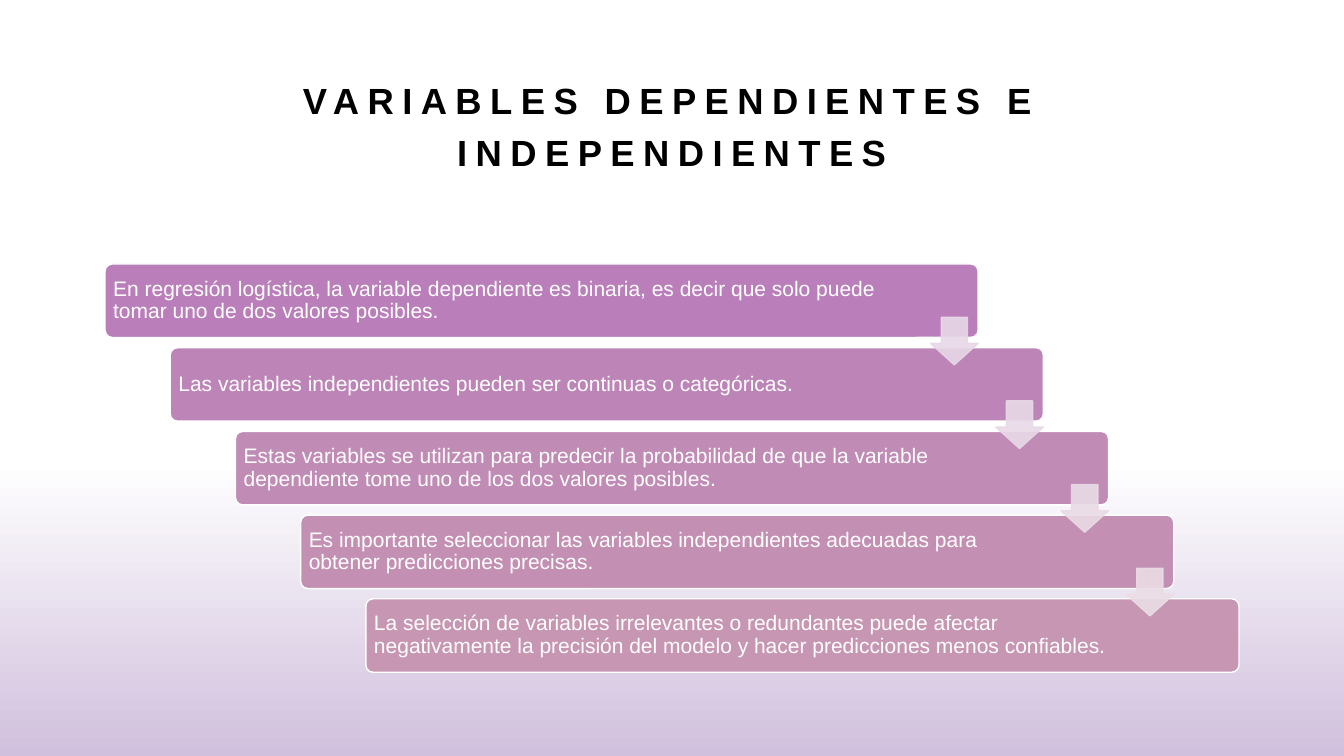
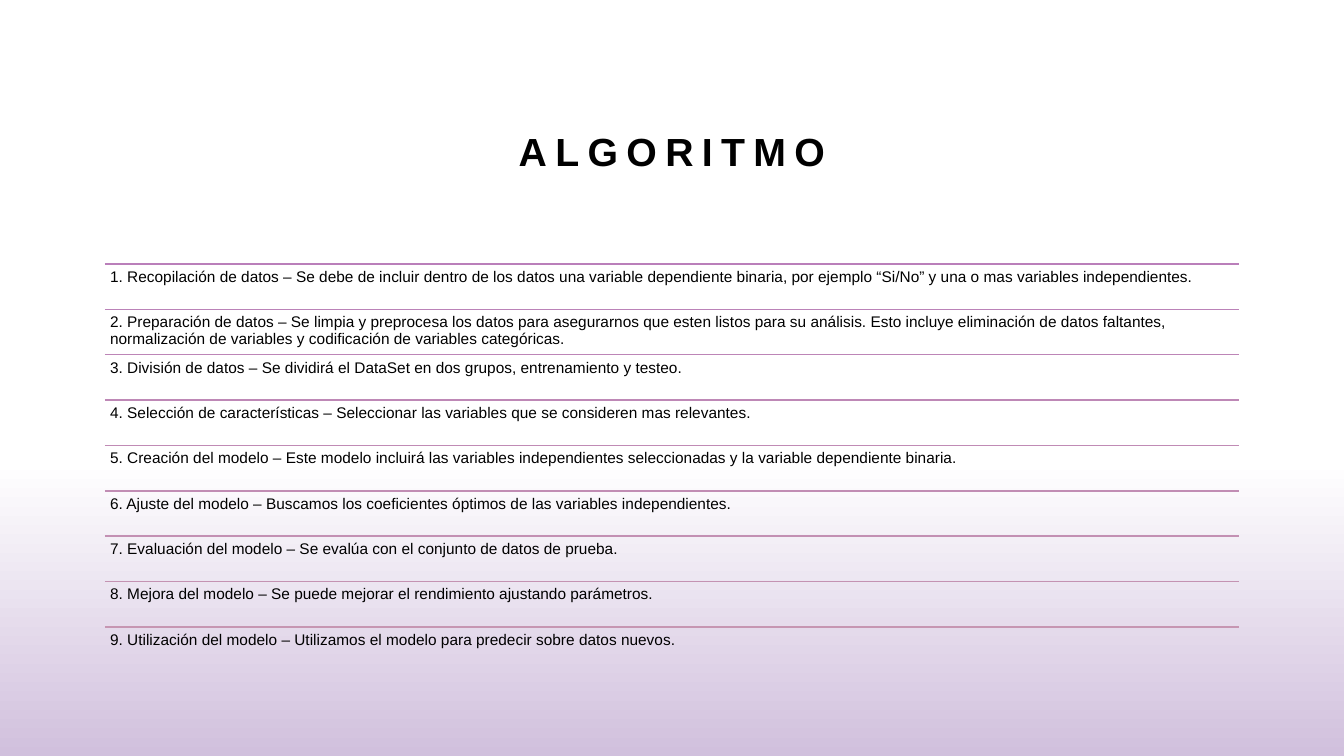
"""Build two slides on logistic regression: its variables and its algorithm."""
from dataclasses import dataclass

from lxml import etree
from pptx import Presentation, util as u
from pptx.dml.color import RGBColor
from pptx.enum import shapes, text
from pptx.oxml.ns import qn


@dataclass(frozen=True)
class Theme:
    """Colours, font and type sizes of the deck."""
    font: str = "Arial"
    ink: str = "000000"
    paper: str = "FFFFFF"
    glow: str = "D1C0DD"
    ramp: tuple = ("BA7FBA", "BB82B8", "BD85B7", "BE88B6", "C08BB5",
                   "C18DB4", "C390B3", "C493B2", "C696B2")
    arrows: tuple = ("E7D8E7", "E8D9E6", "E9DBE5", "EADDE4")
    step_size: float = 15
    row_size: float = 11


@dataclass(frozen=True)
class Box:
    """A rectangle in points."""
    left: float
    top: float
    width: float
    height: float

    def lengths(self):
        """Return left, top, width and height as lengths."""
        return [u.Pt(side) for side in (self.left, self.top, self.width, self.height)]


THEME = Theme()
PAGE = Box(0, 0, 960, 540)
TITLE = Box(120, 60, 720, 68)
GLOW = Box(0, 294.5, 960, 245.5)
BODY = Box(75, 188.6, 810, 291.6)

STEPS = [
    "En regresión logística, la variable dependiente es binaria, es decir que solo puede tomar uno de dos valores posibles.",
    "Las variables independientes pueden ser continuas o categóricas.",
    "Estas variables se utilizan para predecir la probabilidad de que la variable dependiente tome uno de los dos valores posibles.",
    "Es importante seleccionar las variables independientes adecuadas para obtener predicciones precisas.",
    "La selección de variables irrelevantes o redundantes puede afectar negativamente la precisión del modelo y hacer predicciones menos confiables.",
]
ROWS = [
    "1. Recopilación de datos – Se debe de incluir dentro de los datos una variable dependiente binaria, por ejemplo “Si/No” y una o mas variables independientes.",
    "2. Preparación de datos – Se limpia y preprocesa los datos para asegurarnos que esten listos para su análisis. Esto incluye eliminación de datos faltantes, normalización de variables y codificación de variables categóricas.",
    "3. División de datos – Se dividirá el DataSet en dos grupos, entrenamiento y testeo.",
    "4. Selección de características – Seleccionar las variables que se consideren mas relevantes.",
    "5. Creación del modelo – Este modelo incluirá las variables independientes seleccionadas y la variable dependiente binaria.",
    "6. Ajuste del modelo – Buscamos los coeficientes óptimos de las variables independientes.",
    "7. Evaluación del modelo – Se evalúa con el conjunto de datos de prueba.",
    "8. Mejora del modelo – Se puede mejorar el rendimiento ajustando parámetros.",
    "9. Utilización del modelo – Utilizamos el modelo para predecir sobre datos nuevos.",
]


def write(shape, words, *, size, color=THEME.ink, bold=False, tracking=0, spacing=0.9,
          align=text.PP_ALIGN.LEFT, anchor=text.MSO_ANCHOR.TOP, insets=(3.6, 3.6, 3.6, 3.6)):
    """Write one formatted paragraph into a shape; insets run left, top, right, bottom."""
    frame = shape.text_frame
    frame.word_wrap = True
    frame.auto_size = text.MSO_AUTO_SIZE.NONE
    frame.vertical_anchor = anchor
    (frame.margin_left, frame.margin_top,
     frame.margin_right, frame.margin_bottom) = [u.Pt(inset) for inset in insets]
    para = frame.paragraphs[0]
    para.alignment = align
    para.line_spacing = spacing
    span = para.add_run()
    span.text = words
    span.font.name = THEME.font
    span.font.size = u.Pt(size)
    span.font.bold = bold
    span.font.color.rgb = RGBColor.from_string(color)
    if tracking:
        span.font._element.set("spc", str(tracking * 100))


def add_filled(page, kind, box, fill, line, adjustments, opacity=100):
    """Add a preset shape with a solid fill and a one-point outline."""
    shape = page.shapes.add_shape(kind, *box.lengths())
    shape.shadow.inherit = False
    for index, value in enumerate(adjustments):
        shape.adjustments[index] = value
    shape.fill.solid()
    shape.fill.fore_color.rgb = RGBColor.from_string(fill)
    shape.line.color.rgb = RGBColor.from_string(line)
    shape.line.width = u.Pt(1)
    if opacity < 100:
        for color in list(shape.element.spPr.iter(qn("a:srgbClr"))):
            etree.SubElement(color, qn("a:alpha")).set("val", str(opacity * 1000))
    return shape


def add_rule(page, box, color):
    """Draw a one-point line along the top of a box."""
    left, top, width, _ = box.lengths()
    rule = page.shapes.add_connector(shapes.MSO_CONNECTOR.STRAIGHT, left, top, left + width, top)
    rule.line.color.rgb = RGBColor.from_string(color)
    rule.line.width = u.Pt(1)
    etree.SubElement(rule.element.spPr, qn("a:effectLst"))


def add_glow(page, box):
    """Fade from the paper colour to lilac at the foot of the page."""
    glow = page.shapes.add_shape(shapes.MSO_SHAPE.RECTANGLE, *box.lengths())
    glow.shadow.inherit = False
    glow.line.fill.background()
    glow.fill.gradient()
    glow.fill.gradient_angle = 270
    stops = ((THEME.paper, 0.14), (THEME.glow, 1))
    for stop, (color, position) in zip(glow.fill.gradient_stops, stops):
        stop.color.rgb = RGBColor.from_string(color)
        stop.position = position


def add_page(deck, title, size):
    """Add a blank page with the shared background and title."""
    page = deck.slides.add_slide(deck.slide_layouts[6])
    add_glow(page, GLOW)
    write(page.shapes.add_textbox(*TITLE.lengths()), title, size=size, bold=True, tracking=6,
          spacing=1.2, align=text.PP_ALIGN.CENTER, anchor=text.MSO_ANCHOR.BOTTOM,
          insets=(7.2, 3.6, 7.2, 3.6))
    return page


def add_staircase(page, box, steps):
    """Place steps descending to the right, joined by arrows."""
    width, height, arrow = box.width * 0.77, box.height * 0.18, 34
    gaps = len(steps) - 1
    across, down = (box.width - width) / gaps, (box.height - height) / gaps
    places = [Box(box.left + across * index, box.top + down * index, width, height)
              for index in range(len(steps))]
    for index, (place, words, color) in enumerate(zip(places, steps, THEME.ramp[::2])):
        step = add_filled(page, shapes.MSO_SHAPE.ROUNDED_RECTANGLE, place, color,
                          THEME.paper, [0.1])
        write(step, words, size=THEME.step_size, color=THEME.paper,
              anchor=text.MSO_ANCHOR.MIDDLE, insets=(4.3, 4.3, 85 if index else 64, 4.3))
    for place, color in zip(places, THEME.arrows):
        spot = Box(place.left + width - arrow, place.top + 38, arrow, arrow)
        add_filled(page, shapes.MSO_SHAPE.DOWN_ARROW, spot, color, color, [0.55, 0.45], 90)


def add_ruled_list(page, box, rows):
    """Place rows of equal height, each under its own line."""
    height = box.height / len(rows)
    for index, (words, color) in enumerate(zip(rows, THEME.ramp)):
        place = Box(box.left, box.top + height * index, box.width, height)
        add_rule(page, place, color)
        write(page.shapes.add_textbox(*place.lengths()), words, size=THEME.row_size)


def main():
    """Build and save the deck."""
    deck = Presentation()
    deck.slide_width, deck.slide_height = u.Pt(PAGE.width), u.Pt(PAGE.height)
    add_staircase(add_page(deck, "VARIABLES DEPENDIENTES E INDEPENDIENTES", 26), BODY, STEPS)
    add_ruled_list(add_page(deck, "ALGORITMO", 28), BODY, ROWS)
    deck.save("out.pptx")


if __name__ == "__main__":
    main()
